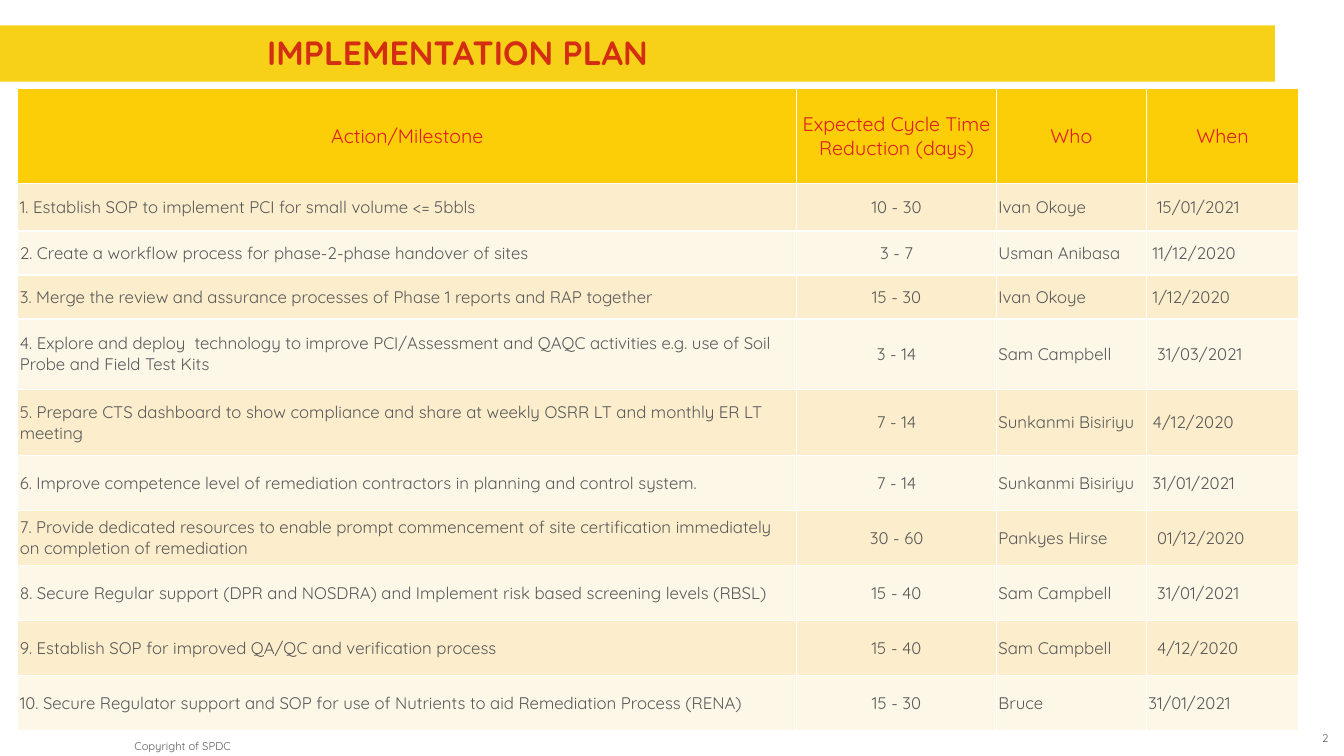
"""Build the implementation plan slide with its action table."""
from lxml import etree
from pptx import Presentation
from pptx import util as u
from pptx.dml.color import RGBColor
from pptx.enum import shapes, text
from pptx.oxml import ns

FONT = "Quicksand"
WHITE = RGBColor(0xFF, 0xFF, 0xFF)
BAR_YELLOW = RGBColor(0xF7, 0xD1, 0x17)
HEAD_YELLOW = RGBColor(0xFB, 0xCE, 0x07)
BANDS = (RGBColor(0xFC, 0xEE, 0xCC), RGBColor(0xFD, 0xF7, 0xE8))
TITLE_RED = RGBColor(0xD4, 0x2E, 0x12)
HEAD_RED = RGBColor(0xDD, 0x1D, 0x21)
GREY = RGBColor(0x59, 0x59, 0x59)

LEFT, CENTER, RIGHT = text.PP_ALIGN.LEFT, text.PP_ALIGN.CENTER, text.PP_ALIGN.RIGHT
TITLE_FORMAT = {"name": FONT, "size": u.Pt(24), "bold": True}
HEAD_FORMAT = {"name": FONT, "size": u.Pt(14), "bold": False}
BODY_FORMAT = {"name": FONT, "size": u.Pt(12), "bold": False}
FOOTER_FORMAT = {"name": FONT, "size": u.Pt(8)}

COLUMN_WIDTHS = (19.63, 5.03, 3.78, 3.84)
ROW_HEIGHTS = (2.38, 1.2, 1.11, 1.11, 1.77, 1.66) + (1.39,) * 5
COLUMN_ALIGNS = (LEFT, CENTER, LEFT, LEFT)
CELL_INSET, DATE_STEP = 0.05, 0.11
DATE_INDENTS = (2, 1, 1, 2, 1, 1, 2, 2, 2, 0)

HEADINGS = ("Action/Milestone", "Expected Cycle Time Reduction (days)", "Who", "When")
ACTIONS = (
    ("1. Establish SOP to implement PCI for small volume <= 5bbls",
     "10 - 30", "Ivan Okoye", "15/01/2021"),
    ("2. Create a workflow process for phase-2-phase handover of sites",
     "3 - 7", "Usman Anibasa", "11/12/2020"),
    ("3. Merge the review and assurance processes of Phase 1 reports and RAP together",
     "15 - 30", "Ivan Okoye", "1/12/2020"),
    ("4. Explore and deploy  technology to improve PCI/Assessment and QAQC activities "
     "e.g. use of Soil Probe and Field Test Kits",
     "3 - 14", "Sam Campbell", "31/03/2021"),
    ("5. Prepare CTS dashboard to show compliance and share at weekly OSRR LT "
     "and monthly ER LT meeting",
     "7 - 14", "Sunkanmi Bisiriyu", "4/12/2020"),
    ("6. Improve competence level of remediation contractors in planning and control system.",
     "7 - 14", "Sunkanmi Bisiriyu", "31/01/2021"),
    ("7. Provide dedicated resources to enable prompt commencement of site certification "
     "immediately on completion of remediation",
     "30 - 60", "Pankyes Hirse", "01/12/2020"),
    ("8. Secure Regular support (DPR and NOSDRA) and Implement risk based screening "
     "levels (RBSL)",
     "15 - 40", "Sam Campbell", "31/01/2021"),
    ("9. Establish SOP for improved QA/QC and verification process",
     "15 - 40", "Sam Campbell", "4/12/2020"),
    ("10. Secure Regulator support and SOP for use of Nutrients to aid Remediation "
     "Process (RENA)",
     "15 - 30", "Bruce", "31/01/2021"),
)


def set_values(target, values):
    for name, value in values.items():
        setattr(target, name, value)


def place(left, top, width, height):
    return dict(left=u.Cm(left), top=u.Cm(top), width=u.Cm(width), height=u.Cm(height))


def write(frame, words, align, font_format, color):
    para = frame.paragraphs[0]
    para.alignment = align
    span = para.add_run()
    span.text = words
    set_values(span.font, font_format)
    span.font.color.rgb = color


def set_frame(frame, wrap, bottom=0):
    set_values(frame, {
        "margin_left": 0, "margin_top": 0, "margin_right": 0,
        "margin_bottom": u.Cm(bottom), "word_wrap": wrap,
        "vertical_anchor": text.MSO_ANCHOR.TOP, "auto_size": text.MSO_AUTO_SIZE.NONE,
    })


def add_title(page, words):
    title = page.shapes.title
    set_values(title, place(6.73, 0.81, 21.39, 1.17))
    set_frame(title.text_frame, True)
    write(title.text_frame, words, LEFT, TITLE_FORMAT, TITLE_RED)


def add_title_bar(page):
    bar = page.shapes.add_shape(shapes.MSO_SHAPE.RECTANGLE, **place(0, 0.64, 32.13, 1.42))
    bar.shadow.inherit = False
    bar.fill.solid()
    bar.fill.fore_color.rgb = BAR_YELLOW
    bar.line.fill.background()
    page.shapes.title.element.addprevious(bar.element)


def add_footer(page, words, area, align):
    box = page.shapes.add_textbox(**place(*area))
    set_frame(box.text_frame, False, 0.13)
    write(box.text_frame, words, align, FOOTER_FORMAT, GREY)


def add_borders(cell):
    properties = cell._tc.get_or_add_tcPr()
    for side in "LRTB":
        line = etree.SubElement(properties, ns.qn("a:ln" + side), w=str(u.Pt(1)))
        fill = etree.SubElement(line, ns.qn("a:solidFill"))
        etree.SubElement(fill, ns.qn("a:srgbClr"), val=str(WHITE))


def fill_cell(cell, words, align, font_format, color, background, indent=0):
    set_values(cell, {
        "margin_left": u.Cm(CELL_INSET + indent * DATE_STEP),
        "margin_right": u.Cm(CELL_INSET),
        "margin_top": u.Cm(0.03), "margin_bottom": u.Cm(0.03),
        "vertical_anchor": text.MSO_ANCHOR.MIDDLE,
    })
    add_borders(cell)
    cell.fill.solid()
    cell.fill.fore_color.rgb = background
    write(cell.text_frame, words, align, font_format, color)


def add_plan_table(page):
    area = place(0.45, 2.24, sum(COLUMN_WIDTHS), sum(ROW_HEIGHTS))
    table = page.shapes.add_table(len(ROW_HEIGHTS), len(COLUMN_WIDTHS), **area).table
    for column, width in zip(table.columns, COLUMN_WIDTHS):
        column.width = u.Cm(width)
    for row, height in zip(table.rows, ROW_HEIGHTS):
        row.height = u.Cm(height)
    for column, heading in enumerate(HEADINGS):
        fill_cell(table.cell(0, column), heading, CENTER, HEAD_FORMAT, HEAD_RED,
                  HEAD_YELLOW)
    for row, (action, date_indent) in enumerate(zip(ACTIONS, DATE_INDENTS)):
        for column, words in enumerate(action):
            indent = date_indent if column == len(HEADINGS) - 1 else 0
            fill_cell(table.cell(row + 1, column), words, COLUMN_ALIGNS[column],
                      BODY_FORMAT, GREY, BANDS[row % 2], indent=indent)


def main():
    deck = Presentation()
    deck.slide_width, deck.slide_height = u.Cm(33.87), u.Cm(19.05)
    page = deck.slides.add_slide(deck.slide_layouts[5])
    add_title_bar(page)
    add_title(page, "IMPLEMENTATION PLAN")
    add_footer(page, "Copyright of SPDC", (3.39, 18.62, 9.31, 0.43), LEFT)
    add_footer(page, "2", (32.48, 18.42, 1, 0.46), RIGHT)
    add_plan_table(page)
    deck.save("out.pptx")


if __name__ == "__main__":
    main()
